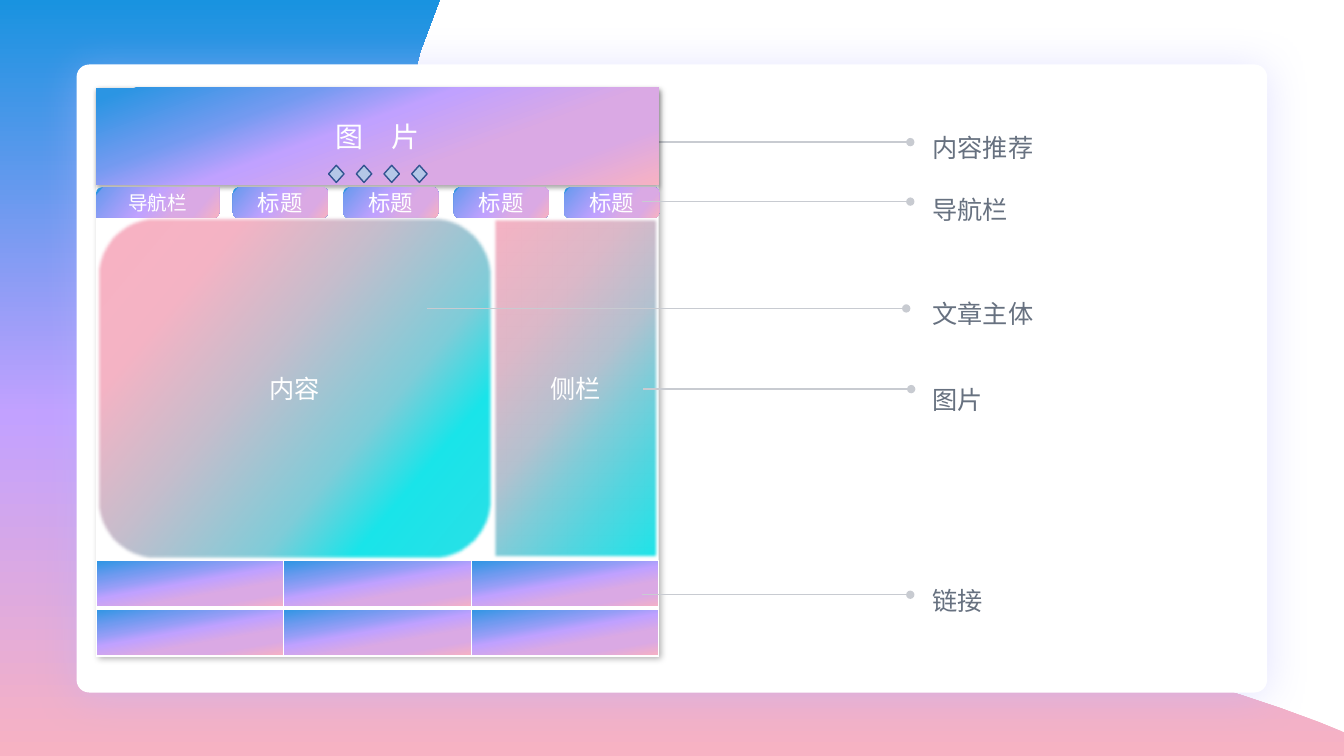
from pptx import Presentation
from pptx.dml.color import RGBColor
from pptx.enum.shapes import MSO_CONNECTOR, MSO_SHAPE as SHAPE
from pptx.enum.text import MSO_ANCHOR, PP_ALIGN
from pptx.oxml import parse_xml
from pptx.oxml.ns import nsdecls, qn
from pptx.util import Inches, Pt

NS = nsdecls("a")
rgb = RGBColor.from_string

SKY = [(29, "F7B2C3"), (61, "C2A1FF"), (100, "1993E0")]
DUSK = [(44, "C0A1FF"), (67, "DAA9E4"), (82, "DCA9E2"), (100, "F7B2C3")]
HEADER = [(4, "2B95E3"), (27, "729AF0")] + DUSK
NAV = [(4, "2B95E3"), (5, "729AF0")] + DUSK
LINKS = [(0, "2B95E3"), (23, "729AF0"), (35, "939DF6"), (48, "C0A1FF")] + DUSK[1:]
SIDEBAR = [(0, "F7B2C3"), (30, "DBB8C8"), (51, "B3C1CF"), (64, "80CCD8"),
           (78, "54D5DF"), (100, "1AE5E9")]
ARTICLE = [(2, "F8B2C3"), (22, "F4B3C4"), (43, "C4BDCC"), (66, "7ECCD8"),
           (79, "19E4E9"), (100, "2BDFE6")]
SHADOW = ('<a:outerShdw {ns} blurRad="{0}" dist="{1}" dir="{2}" algn="ctr" rotWithShape="0">'
          '<a:srgbClr val="{3}"><a:alpha val="{4}"/></a:srgbClr></a:outerShdw>')
SOFT_EDGE = f'<a:softEdge {NS} rad="{Pt(2.5)}"/>'

deck = Presentation()
deck.slide_width, deck.slide_height = Inches(13.33), Inches(7.5)
slide = deck.slides.add_slide(deck.slide_layouts[6])
shapes = slide.shapes
# The grid has 100 columns and 100 rows
COL, ROW = deck.slide_width / 100, deck.slide_height / 100


def paint(fill, element, colour, angle=0):
    """Fill with one hex colour, or with (percent, hex) stops at a clockwise angle."""
    if isinstance(colour, str):
        fill.solid()
        fill.fore_color.rgb = rgb(colour)
        return
    fill.gradient()
    fill.gradient_angle = (360 - angle) % 360
    stops = next(element.iter(qn("a:gsLst")))
    for old in list(stops):
        stops.remove(old)
    for percent, value in colour:
        stops.append(parse_xml(f'<a:gs {NS} pos="{percent * 1000}">'
                               f'<a:srgbClr val="{value}"/></a:gs>'))


def add_block(kind, box, colour, angle=0, text="", size=18, effect=None):
    """Add a borderless block at (left, top, width, height) in grid units."""
    left, top, width, height = box
    block = shapes.add_shape(kind, int(left * COL), int(top * ROW),
                             int(width * COL), int(height * ROW))
    paint(block.fill, block._element, colour, angle)
    block.line.fill.background()
    block.shadow.inherit = False
    if effect:
        block._element.spPr.find(qn("a:effectLst")).append(parse_xml(effect))
    if text:
        block.text_frame.vertical_anchor = MSO_ANCHOR.MIDDLE
        caption = block.text_frame.paragraphs[0]
        caption.text = text
        caption.alignment = PP_ALIGN.CENTER
        caption.font.name, caption.font.size = "Noto Sans CJK SC", Pt(size)
        caption.font.color.rgb = rgb("FFFFFF")
    return block


# Background wave: Bezier segments sampled into short straight steps
wave_start = (0, 8.89)
wave_curves = [((0.56, 10.35), (2.27, 11.2), (2.77, 9.84)),
               ((3.3, 8.29), (13.06, 9.37), (13.84, 9.34)),
               ((18.09, 5.93), (1.29, 7.13), (4.36, 0))]
STEPS = 40
wave_points, p0 = [], wave_start
for p1, p2, p3 in wave_curves:
    for step in range(1, STEPS + 1):
        t = step / STEPS
        u = 1 - t
        wave_points.append(tuple(
            Inches(u**3 * a + 3 * u * u * t * b + 3 * u * t * t * c + t**3 * d)
            for a, b, c, d in zip(p0, p1, p2, p3)))
    p0 = p3
outline = shapes.build_freeform(Inches(wave_start[0]), Inches(wave_start[1]))
outline.add_line_segments(wave_points + [(0, 0)], close=True)
wave = outline.convert_to_shape()
paint(wave.fill, wave._element, SKY, 270)
wave.line.fill.background()
wave.shadow.inherit = False

# Card and the web page mock-up on it
card = add_block(SHAPE.ROUNDED_RECTANGLE, (5.7, 8.53, 88.58, 83.07), "FFFFFF",
                 effect=SHADOW.format(Pt(30), Pt(3), 90 * 60000, "B8B8FF", 40000, ns=NS))
card.adjustments[0] = 0.02
PAGE_LEFT, PAGE_TOP, PAGE_WIDTH = 7.16, 11.6, 41.85
page = add_block(SHAPE.RECTANGLE, (PAGE_LEFT, PAGE_TOP, PAGE_WIDTH, 75.07), "FFFFFF",
                 effect=SHADOW.format(Pt(4.5), Pt(2.6), 53 * 60000, "000000", 30000, ns=NS))
add_block(SHAPE.RECTANGLE, (PAGE_LEFT, PAGE_TOP, PAGE_WIDTH, 12.8), HEADER, 70,
          "图\u3000片", 20,
          SHADOW.format(Pt(3.5), Pt(2.2), 90 * 60000, "000000", 32000, ns=NS))
for dot in range(4):
    pager = add_block(SHAPE.DIAMOND, (24.45 + 2.06 * dot, 21.87, 1.15, 2.27), "B4C7E7")
    pager.line.color.rgb = rgb("325491")
    pager.line.width = Pt(1)

# Navigation bar
NAV_TOP, NAV_HEIGHT = 24.8, 4
add_block(SHAPE.ROUND_2_DIAG_RECTANGLE, (PAGE_LEFT, NAV_TOP, 9.15, NAV_HEIGHT),
          NAV, 40, "导航栏", 14)
for tab in range(4):
    add_block(SHAPE.FLOWCHART_ALTERNATE_PROCESS,
              (17.33 + 8.22 * tab, NAV_TOP, 7.05, NAV_HEIGHT), NAV, 40, "标题", 16)

# Body
add_block(SHAPE.RECTANGLE, (36.6, 28.67, 12.45, 45.33), SIDEBAR, 40, "侧栏",
          effect=SOFT_EDGE)
add_block(SHAPE.ROUNDED_RECTANGLE, (PAGE_LEFT, 28.67, 29.48, 45.33), ARTICLE, 40, "内容",
          effect=SOFT_EDGE)

# Link table
links = shapes.add_table(2, 3, int(PAGE_LEFT * COL), int(74.13 * ROW),
                         int(PAGE_WIDTH * COL), int(12.64 * ROW)).table
links.first_row = links.horz_banding = False
for row_index, row in enumerate(links.rows):
    inner_edge = "lnT" if row_index else "lnB"
    for cell in row.cells:
        for edge in ("lnL", "lnR", "lnT", "lnB"):
            width = Pt(3 if edge == inner_edge else 1)
            cell._tc.get_or_add_tcPr().append(parse_xml(
                f'<a:{edge} {NS} w="{width}"><a:solidFill><a:srgbClr val="FFFFFF"/>'
                f'</a:solidFill></a:{edge}>'))
        paint(cell.fill, cell._tc, LINKS, 80)

# Callouts: label, label top, leader height, leader start, leader end
callouts = [("内容推荐", 15.47, 18.8, 47.8, 67.73),
            ("导航栏", 23.73, 26.67, 47.8, 67.73),
            ("文章主体", 37.47, 40.8, 31.8, 67.43),
            ("图片", 48.8, 51.47, 47.85, 67.8),
            ("链接", 75.47, 78.67, 47.8, 67.73)]
for label, label_top, leader_y, start, end in callouts:
    leader = shapes.add_connector(MSO_CONNECTOR.STRAIGHT, int(start * COL), int(leader_y * ROW),
                                  int(end * COL), int(leader_y * ROW))
    leader.line.color.rgb = rgb("C8CBD1")
    leader.line.width = Pt(1)
    leader.line._get_or_add_ln().append(parse_xml(f'<a:tailEnd {NS} type="oval"/>'))
    leader._element.spPr.append(parse_xml(f'<a:effectLst {NS}/>'))
    if label == "内容推荐":
        page._element.addprevious(leader._element)

    note = shapes.add_textbox(int(69.38 * COL), int(label_top * ROW),
                              int(1.89 * len(label) * COL), int(5.47 * ROW)).text_frame
    note.margin_left = note.margin_right = note.margin_top = note.margin_bottom = 0
    note.word_wrap = False
    wording = note.paragraphs[0]
    wording.text = label
    wording.line_spacing = 1.5
    wording.font.name, wording.font.size = "Lato", Pt(18)
    wording.font.color.rgb = rgb("677180")

deck.save("out.pptx")
